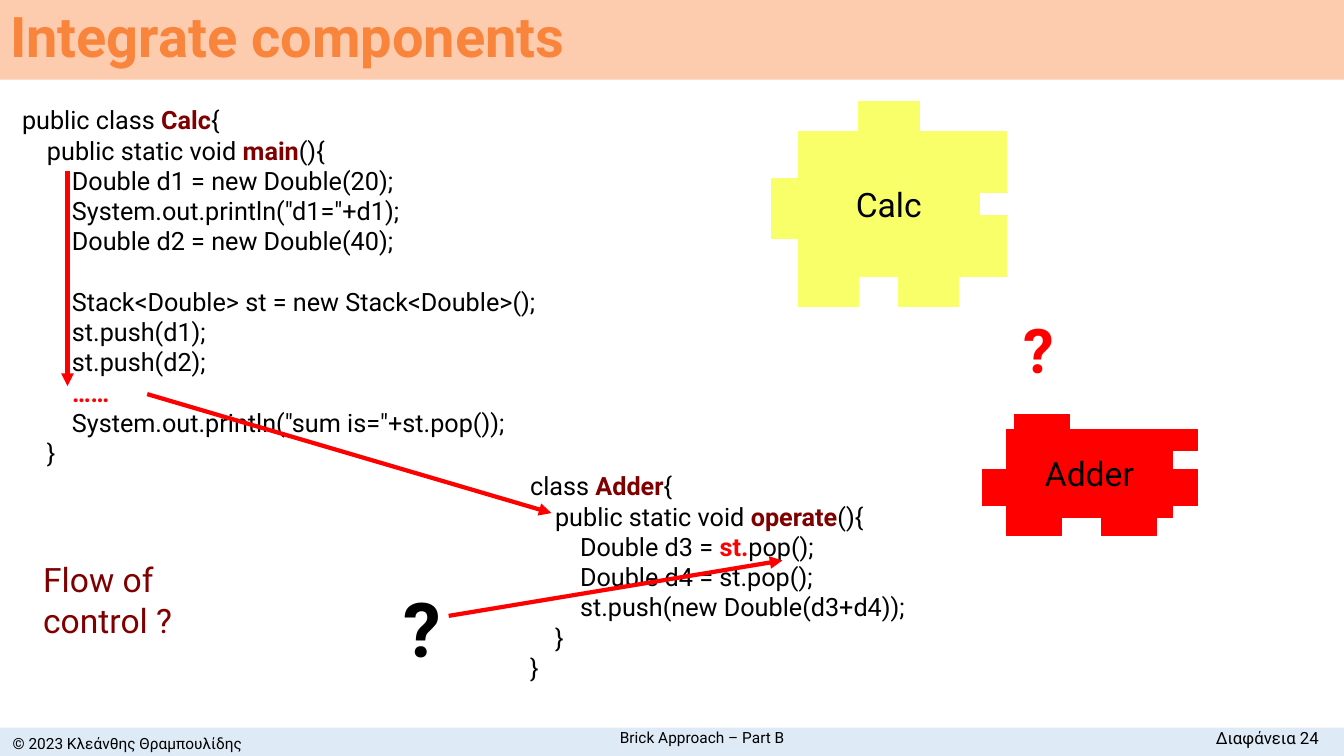
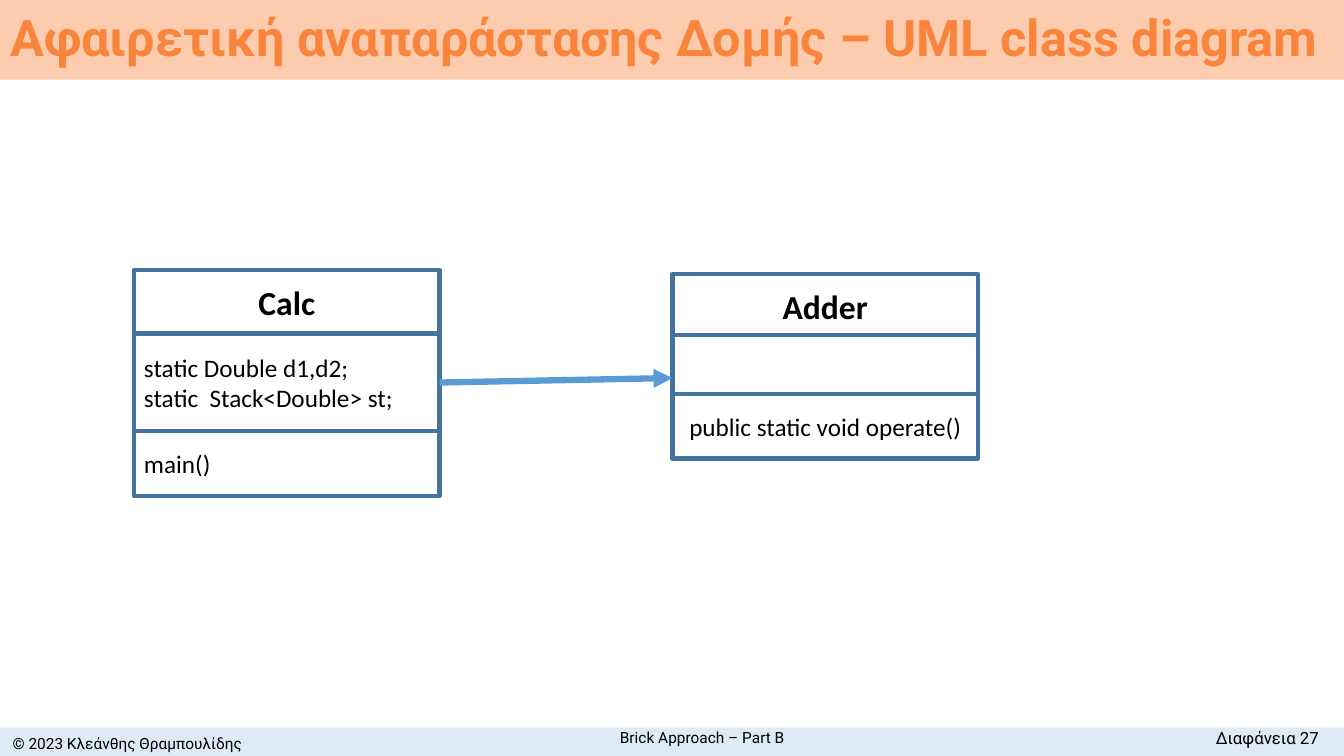
"""Build two slides on integrating the Calc and Adder components."""
from dataclasses import dataclass

from lxml.etree import SubElement
from pptx import Presentation
from pptx.dml.color import RGBColor
from pptx.enum.shapes import MSO_CONNECTOR, MSO_SHAPE
from pptx.enum.text import MSO_ANCHOR, MSO_AUTO_SIZE, PP_ALIGN
from pptx.oxml.ns import qn
from pptx.util import Inches, Pt


@dataclass(frozen=True)
class Theme:
    title_band: RGBColor = RGBColor(0xFD, 0xCB, 0xAD)
    title: RGBColor = RGBColor(0xF9, 0x85, 0x3D)
    footer_band: RGBColor = RGBColor(0xDE, 0xEB, 0xF7)
    ink: RGBColor = RGBColor(0, 0, 0)
    paper: RGBColor = RGBColor(0xFF, 0xFF, 0xFF)
    keyword: RGBColor = RGBColor(0x80, 0, 0)
    alert: RGBColor = RGBColor(0xFF, 0, 0)
    calc: RGBColor = RGBColor(0xF8, 0xFF, 0x69)
    outline: RGBColor = RGBColor(0x43, 0x73, 0x9E)
    association: RGBColor = RGBColor(0x5B, 0x9B, 0xD5)
    font: str = "Roboto"
    uml_font: str = "Calibri"
    footer_size: int = 11
    number_size: int = 12
    body_size: int = 18
    label_size: int = 24


theme = Theme()
LEFT, CENTER, RIGHT = PP_ALIGN.LEFT, PP_ALIGN.CENTER, PP_ALIGN.RIGHT
TOP, MIDDLE = MSO_ANCHOR.TOP, MSO_ANCHOR.MIDDLE


def write(shape, text, size, color=theme.ink, align=LEFT, anchor=TOP,
          font=theme.font, bold=False):
    frame = shape.text_frame
    frame.word_wrap = True
    frame.auto_size = MSO_AUTO_SIZE.NONE
    frame.vertical_anchor = anchor
    frame.text = text
    for paragraph in frame.paragraphs:
        paragraph.alignment = align
        pieces = paragraph.text.split("|")
        paragraph.text = pieces[0]
        for piece in pieces[1:]:
            paragraph.add_run().text = piece
        for position, run in enumerate(paragraph.runs):
            marked = position % 2 == 1
            run.font.name = font
            run.font.size = Pt(size)
            run.font.bold = bold or marked
            marked_color = theme.alert if run.text in ("……", "st.") else theme.keyword
            run.font.color.rgb = marked_color if marked else color


def add_rectangle(shapes, box, fill, line=None, width=0.75):
    rectangle = shapes.add_shape(MSO_SHAPE.RECTANGLE, *map(Inches, box))
    rectangle.shadow.inherit = False
    rectangle.fill.solid()
    rectangle.fill.fore_color.rgb = fill
    if line is None:
        rectangle.line.fill.background()
    else:
        rectangle.line.color.rgb = line
        rectangle.line.width = Pt(width)
    return rectangle


deck = Presentation()
deck.slide_width, deck.slide_height = Inches(13.33), Inches(7.5)

headings = [
    ("Integrate components", 40, 24),
    ("Αφαιρετική αναπαράστασης Δομής – UML class diagram", 36, 27),
]
for heading, heading_size, number in headings:
    slide = deck.slides.add_slide(deck.slide_layouts[5])
    add_rectangle(slide.shapes, (0, 7.22, 13.33, 0.3), theme.footer_band)
    title = slide.shapes.title
    title.left, title.top, title.width, title.height = map(Inches, (0, 0, 13.33, 0.79))
    title.fill.solid()
    title.fill.fore_color.rgb = theme.title_band
    write(title, heading, heading_size, theme.title, anchor=MIDDLE, bold=True)
    title.text_frame.paragraphs[0].line_spacing = 0.9
    footers = [
        ((0, 7.22, 2.53, 0.3), "© 2023 Κλεάνθης Θραμπουλίδης", theme.footer_size, CENTER, MIDDLE),
        ((11.12, 7.17, 2.06, 0.3), f"Διαφάνεια {number}", theme.number_size, RIGHT, TOP),
        ((3.62, 7.17, 6.69, 0.3), "Brick Approach – Part B", theme.footer_size, CENTER, MIDDLE),
    ]
    for box, text, size, align, anchor in footers:
        footer = slide.shapes.add_textbox(*map(Inches, box))
        write(footer, text, size, align=align, anchor=anchor)

integration, class_diagram = deck.slides

pieces = [
    ("Adder", theme.alert, (9.98, 4.26, 1.65, 0.87), [
        (9.98, 5.13, 0.55, 0.18), (10.92, 5.13, 0.55, 0.18), (9.74, 4.66, 0.25, 0.36),
        (11.63, 4.26, 0.25, 0.21), (11.63, 4.66, 0.25, 0.36), (10.06, 4.11, 0.55, 0.18)]),
    ("Calc", theme.calc, (7.92, 1.31, 1.79, 1.43), [
        (7.92, 2.74, 0.6, 0.3), (8.91, 2.74, 0.6, 0.3), (7.65, 1.77, 0.27, 0.6),
        (9.71, 1.31, 0.27, 0.6), (9.71, 2.14, 0.27, 0.6), (8.52, 1.01, 0.6, 0.3)]),
]
for component, color, body_box, studs in pieces:
    puzzle = integration.shapes.add_group_shape()
    body = add_rectangle(puzzle.shapes, body_box, color, color)
    write(body, component, theme.label_size, align=CENTER, anchor=MIDDLE)
    for stud in studs:
        add_rectangle(puzzle.shapes, stud, color, color)

calc_code = """public class |Calc|{
    public static void |main|(){
        Double d1 = new Double(20);
        System.out.println("d1="+d1);
        Double d2 = new Double(40);
        
        Stack<Double> st = new Stack<Double>();
        st.push(d1);
        st.push(d2);
        |……|
        System.out.println("sum is="+st.pop());
    }"""
adder_code = """class |Adder|{
    public static void |operate|(){
        Double d3 = |st.|pop();
        Double d4 = st.pop();
        st.push(new Double(d3+d4));
    }
}"""
notes = [
    ((0.12, 0.99, 6.28, 3.7), calc_code, theme.body_size, theme.ink, False),
    ((5.16, 4.62, 4.14, 2.2), adder_code, theme.body_size, theme.ink, False),
    ((10.05, 3.05, 0.6, 0.84), "?", 44, theme.alert, True),
    ((0.33, 5.5, 1.7, 0.9), "Flow of control ?", theme.label_size, theme.keyword, False),
    ((3.9, 5.72, 0.7, 1.01), "?", 54, theme.ink, True),
]
for box, text, size, color, bold in notes:
    note = integration.shapes.add_textbox(*map(Inches, box))
    write(note, text, size, color, bold=bold)

classes = [
    (1.33, [
        (2.68, 0.64, "Calc", CENTER),
        (3.31, 0.97, "static Double d1,d2;\nstatic  Stack<Double> st;", LEFT),
        (4.28, 0.64, "main()", LEFT)]),
    (6.67, [
        (2.72, 0.64, "Adder", CENTER),
        (3.32, 0.64, "", LEFT),
        (3.91, 0.64, "public static void operate()", CENTER)]),
]
compartments = []
for left, rows in classes:
    for row, (top, height, text, align) in enumerate(rows):
        compartment = add_rectangle(class_diagram.shapes, (left, top, 3.03, height),
                                    theme.paper, theme.outline, 3)
        compartments.append(compartment)
        if text:
            write(compartment, text, theme.body_size if row else theme.label_size,
                  align=align, anchor=MIDDLE, font=theme.uml_font, bold=row == 0)
calc_attributes = compartments[1]

arrows = [
    (integration, (0.67, 1.7, 0.67, 3.83), theme.alert, 3, None),
    (integration, (1.46, 3.91, 5.47, 5.09), theme.alert, 3, None),
    (integration, (4.45, 6.11, 7.76, 5.56), theme.alert, 3, None),
    (class_diagram, (4.36, 3.79, 6.67, 3.75), theme.association, 4.5, calc_attributes),
]
for slide, ends, color, width, source in arrows:
    arrow = slide.shapes.add_connector(MSO_CONNECTOR.STRAIGHT, *map(Inches, ends))
    if source is not None:
        arrow.begin_connect(source, 3)
    arrow.line.color.rgb = color
    arrow.line.width = Pt(width)
    SubElement(arrow.line._get_or_add_ln(), qn("a:tailEnd"), type="triangle")
    SubElement(arrow._element.spPr, qn("a:effectLst"))

deck.save("out.pptx")
